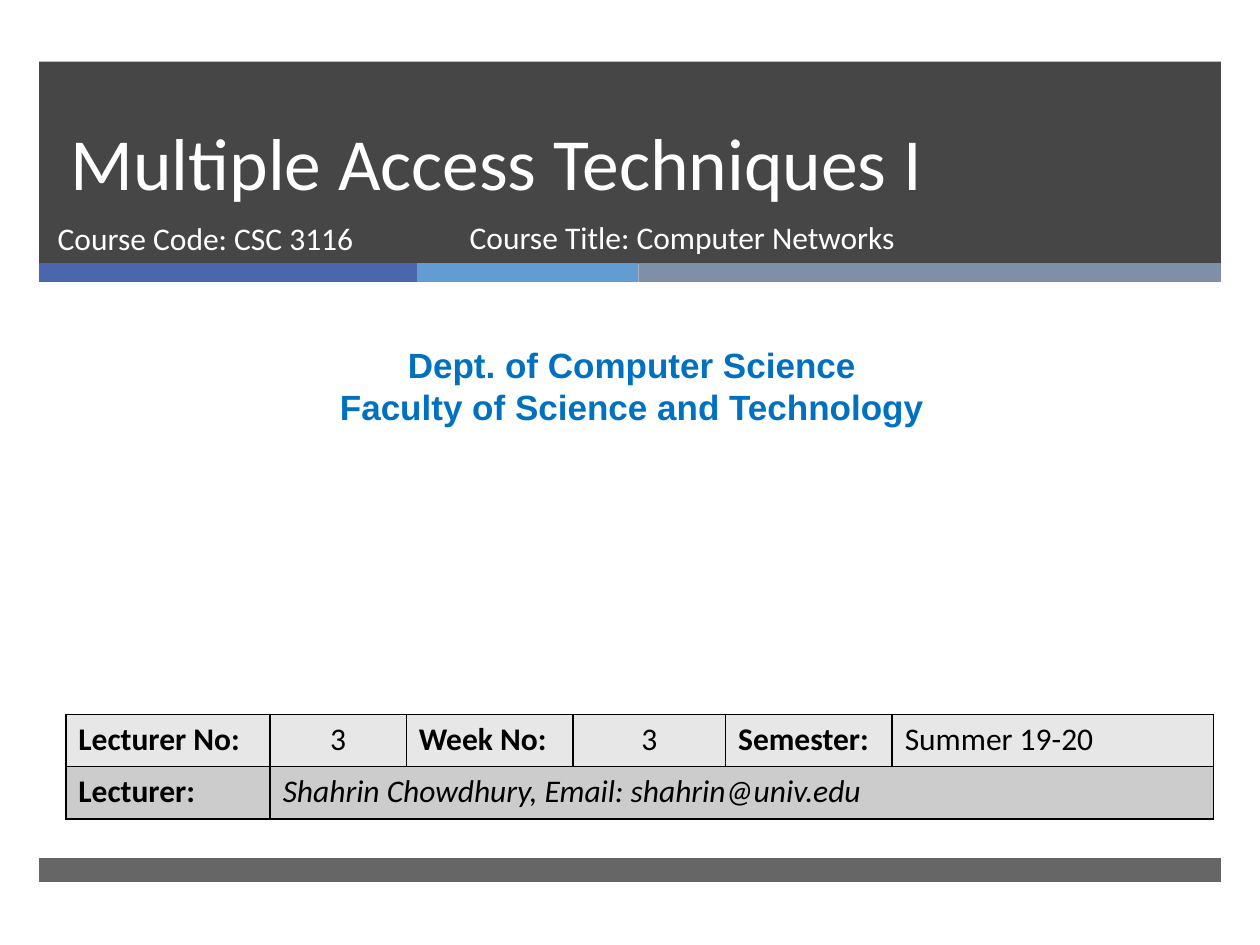
from lxml.etree import SubElement
from pptx import Presentation
from pptx.dml.color import RGBColor
from pptx.enum.shapes import MSO_SHAPE
from pptx.enum.text import MSO_ANCHOR, PP_ALIGN
from pptx.oxml.ns import qn
from pptx.util import Pt

MARGIN, CONTENT_WIDTH = 22.3, 675.4


def paint(fill, color, alpha=100):
    """Give a fill a solid colour, with opacity in percent."""
    fill.solid()
    fill.fore_color.rgb = RGBColor.from_string(color)
    if alpha < 100:
        for tone in fill._xPr.iter(qn("a:srgbClr")):
            SubElement(tone, qn("a:alpha"), val=str(alpha * 1000))


def style(para, size, color, name="Calibri", bold=False, italic=False):
    """Set the font of a whole paragraph."""
    font = para.font
    font.size, font.name, font.bold, font.italic = Pt(size), name, bold, italic
    paint(font.fill, color)


def add_bar(page, left, top, width, height, color, alpha=100):
    """Add a borderless coloured rectangle."""
    bar = page.shapes.add_shape(
        MSO_SHAPE.RECTANGLE, Pt(left), Pt(top), Pt(width), Pt(height))
    bar.shadow.inherit = False
    bar.line.fill.background()
    paint(bar.fill, color, alpha)


def add_text(page, left, top, width, height, lines, size, color,
             name="Calibri", bold=False, align=PP_ALIGN.LEFT):
    """Add a wrapping text box and return its frame."""
    box = page.shapes.add_textbox(Pt(left), Pt(top), Pt(width), Pt(height))
    frame = box.text_frame
    frame.word_wrap = True
    frame.text = "\n".join(lines)
    for para in frame.paragraphs:
        style(para, size, color, name, bold)
        para.alignment = align
    return frame


def add_header(page, left, top, width, height):
    """Add the dark title band with its course details and colour strip."""
    add_bar(page, left, top, width, height, "262626", 85)
    strip_left = left
    for share, color in ((0.32, "4A66AC"), (0.187, "629DD1"), (0.493, "7F8FA9")):
        add_bar(page, strip_left, top + height - 0.5, width * share, 10.8, color)
        strip_left += width * share
    title = add_text(page, left + 10.8, top, 615, 85.7,
                     ["Multiple Access Techniques I"], 42, "FFFFFF")
    title.vertical_anchor = MSO_ANCHOR.BOTTOM
    title.paragraphs[0].line_spacing = Pt(46)
    add_text(page, left + 3.6, top + 86.4, 219.6, 38,
             ["Course Code: CSC 3116"], 18, "FFFFFF")
    add_text(page, left + 239, top + 85.7, 327.6, 38,
             ["Course Title: Computer Networks"], 18, "FFFFFF")


def add_department(page, left, top, width, height):
    """Add the centred department and faculty lines."""
    add_text(page, left, top, width, height,
             ["Dept. of Computer Science", "Faculty of Science and Technology"],
             20, "0070C0", "Arial", True, PP_ALIGN.CENTER)


def add_borders(cell):
    """Draw a thin black line on each side of a cell."""
    properties = cell._tc.get_or_add_tcPr()
    for index, side in enumerate(("lnL", "lnR", "lnT", "lnB")):
        line = properties.makeelement(qn(f"a:{side}"), {"w": str(Pt(1))})
        solid = SubElement(line, qn("a:solidFill"))
        SubElement(solid, qn("a:srgbClr"), val="000000")
        properties.insert(index, line)


def add_lecture_table(page, left, top, width, height):
    """Add the table of lecture, week, semester and lecturer."""
    rows = (
        ("Lecturer No:", "3", "Week No:", "3", "Semester:", "Summer 19-20"),
        ("Lecturer:", "Shahrin Chowdhury, Email: shahrin@univ.edu", "", "", "", ""),
    )
    column_widths = (116.8, 77.8, 95.2, 87.3, 95.2, 183.7)
    table = page.shapes.add_table(
        len(rows), len(column_widths), Pt(left), Pt(top), Pt(width), Pt(height)).table
    for column, column_width in zip(table.columns, column_widths):
        column.width = Pt(column_width)
    for row_index, (row, color) in enumerate(zip(rows, ("E7E7E7", "CCCCCC"))):
        for column_index, text in enumerate(row):
            cell = table.cell(row_index, column_index)
            cell.text = text
            paint(cell.fill, color)
            add_borders(cell)
            para = cell.text_frame.paragraphs[0]
            style(para, 18, "000000", bold=text.endswith(":"), italic="@" in text)
            para.alignment = PP_ALIGN.CENTER if text.isdigit() else PP_ALIGN.LEFT
    table.cell(1, 1).merge(table.cell(1, 5))


def main():
    """Build the title slide and save it."""
    deck = Presentation()
    deck.slide_width, deck.slide_height = Pt(720), Pt(540)
    page = deck.slides.add_slide(deck.slide_layouts[6])
    add_header(page, MARGIN, 35.2, CONTENT_WIDTH, 115.6)
    add_bar(page, MARGIN, 490.3, CONTENT_WIDTH, 13.7, "262626", 70)
    add_department(page, 5.8, 193, 710.6, 55.4)
    add_lecture_table(page, 37.6, 408.2, 656, 59.8)
    deck.save("out.pptx")


if __name__ == "__main__":
    main()
